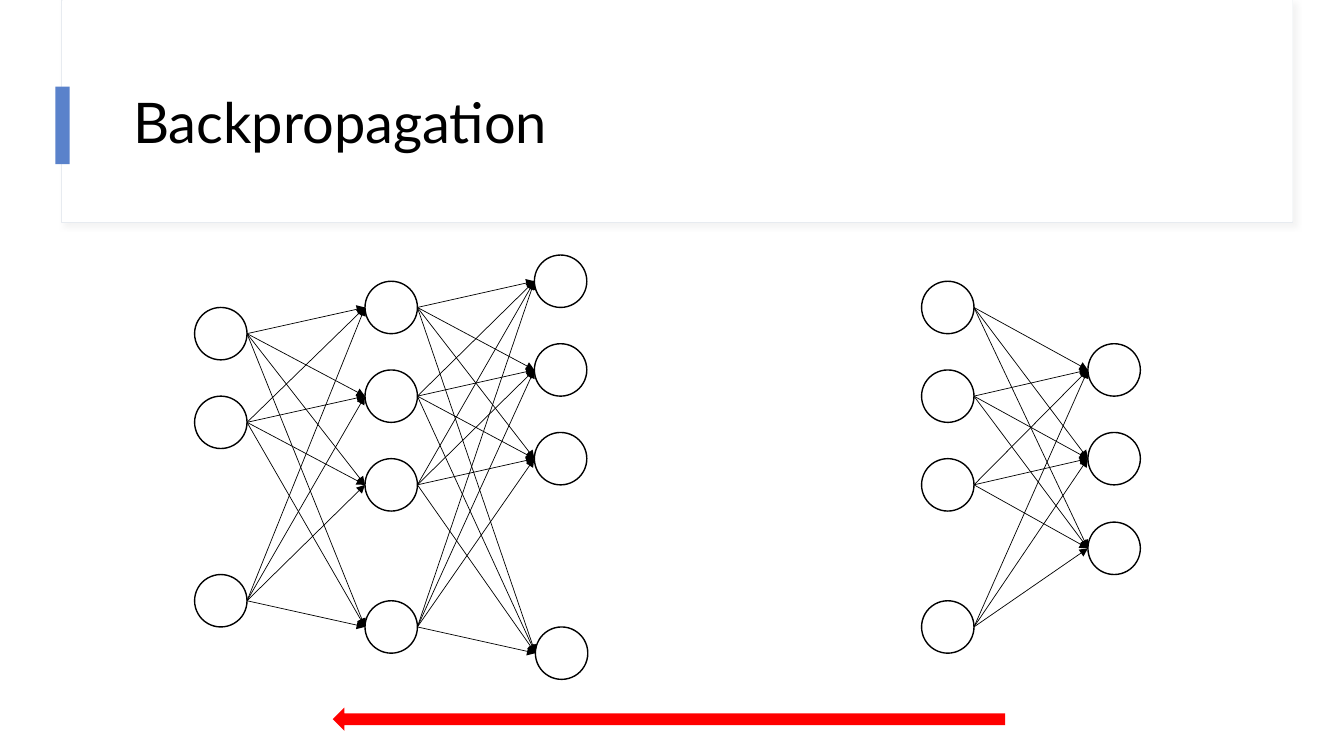
from lxml import etree
from pptx import Presentation
from pptx import util as u
from pptx.dml.color import RGBColor
from pptx.enum import shapes, text
from pptx.oxml import ns

PX = 9144
NODE = 52
BLACK, WHITE = "000000", "FFFFFF"
KIND = shapes.MSO_SHAPE
NETWORKS = [
    [
        [(193, 305), (193, 393), (193, 570)],
        [(362, 279), (362, 367), (362, 455), (362, 596)],
        [(530, 253), (530, 341), (530, 429), (531, 622)],
    ],
    [
        [(914, 279), (914, 367), (914, 455), (914, 596)],
        [(1079, 341), (1079, 429), (1079, 518)],
    ],
]


def px(*lengths):
    return [u.Emu(length * PX) for length in lengths]


def color(value):
    return RGBColor.from_string(value)


def set_format(target, values):
    for name, value in values.items():
        setattr(target, name, value)


def add_effects(shape):
    return etree.SubElement(shape.element.spPr, ns.qn("a:effectLst"))


def add_figure(page, kind, at, fill, line=None, width=1):
    figure = page.shapes.add_shape(kind, *px(*at))
    figure.shadow.inherit = False
    figure.fill.solid()
    figure.fill.fore_color.rgb = color(fill)
    if line:
        figure.line.color.rgb = color(line)
        figure.line.width = u.Pt(width)
    else:
        figure.line.fill.background()
    return figure


def add_shadow(figure):
    effects = figure.element.spPr.find(ns.qn("a:effectLst"))
    shadow = etree.SubElement(
        effects, ns.qn("a:outerShdw"), blurRad=str(u.Pt(4)), dist=str(u.Pt(3)),
        dir=str(45 * 60000), algn="tl", rotWithShape="0")
    tint = etree.SubElement(shadow, ns.qn("a:srgbClr"), val="D9D9D9")
    etree.SubElement(tint, ns.qn("a:alpha"), val="30000")


def add_arrow(page, source, target):
    half = NODE // 2
    start = px(source[0] + NODE, source[1] + half)
    end = px(target[0], target[1] + half)
    arrow = page.shapes.add_connector(shapes.MSO_CONNECTOR.STRAIGHT, *start, *end)
    arrow.line.color.rgb = color(BLACK)
    arrow.line.width = u.Pt(0.5)
    etree.SubElement(arrow.line._get_or_add_ln(), ns.qn("a:tailEnd"), type="triangle")
    add_effects(arrow)


def add_network(page, layers):
    for layer in layers:
        for node in layer:
            add_figure(page, KIND.OVAL, (*node, NODE, NODE), WHITE, BLACK)
    for sources, targets in zip(layers, layers[1:]):
        for source in sources:
            for target in targets:
                add_arrow(page, source, target)


def add_title(page, words, below):
    title = page.shapes.title
    below.element.addnext(title.element)
    left, top, width, height = px(122, 60, 1112, 129)
    set_format(title, {"left": left, "top": top, "width": width, "height": height})
    frame = title.text_frame
    set_format(frame, {
        "text": words, "word_wrap": True, "auto_size": text.MSO_AUTO_SIZE.NONE,
        "vertical_anchor": text.MSO_ANCHOR.MIDDLE})
    para = frame.paragraphs[0]
    set_format(para, {"alignment": text.PP_ALIGN.LEFT, "line_spacing": 0.9})
    span = para.runs[0]
    set_format(span.font, {"name": "Lato", "size": u.Pt(40)})
    span.font.color.rgb = color(BLACK)


def main():
    deck = Presentation()
    deck.slide_width, deck.slide_height = px(1333, 750)
    page = deck.slides.add_slide(deck.slide_layouts[5])
    panel = add_figure(page, KIND.RECTANGLE, (61, 0, 1221, 221), WHITE, "E7EBF0", 0.75)
    add_shadow(panel)
    add_figure(page, KIND.RECTANGLE, (62, 0, 1220, 220), WHITE)
    accent = add_figure(page, KIND.RECTANGLE, (55, 86, 14, 77), "5A82CB")
    add_title(page, "Backpropagation", accent)
    for layers in NETWORKS:
        add_network(page, layers)
    backward = add_figure(page, KIND.RIGHT_ARROW, (330, 702, 667, 23), "FF0000")
    backward.rotation = 180
    deck.save("out.pptx")


if __name__ == "__main__":
    main()
